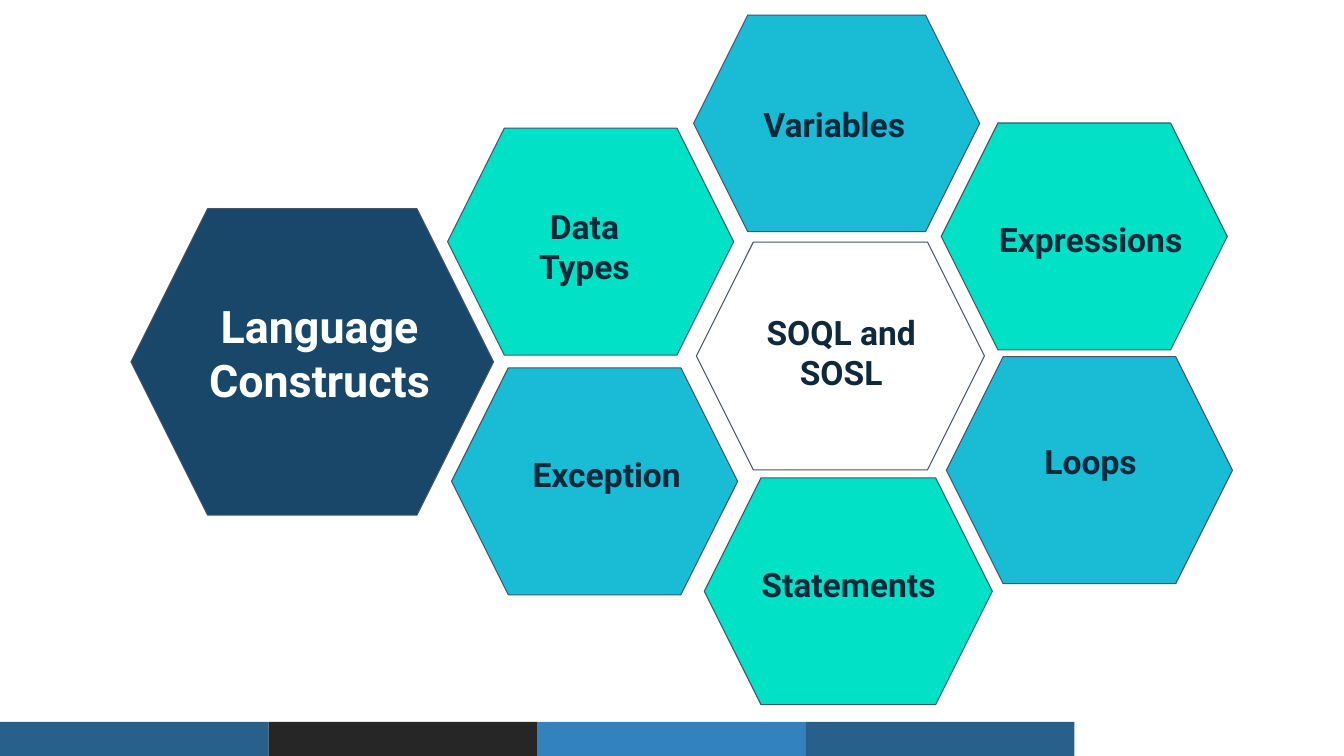
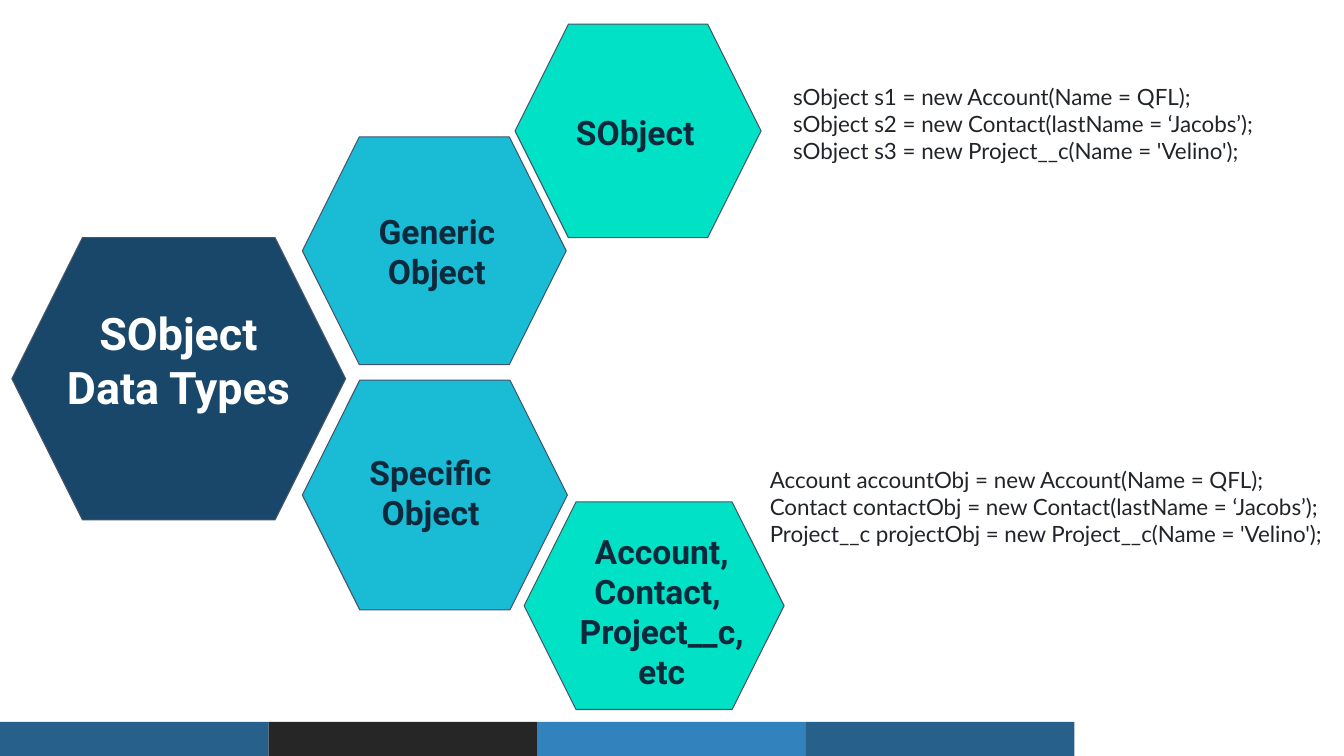
from dataclasses import dataclass

import pptx
import pptx.dml.color
import pptx.enum.shapes
import pptx.enum.text
import pptx.util

Cm = pptx.util.Cm
Kind = pptx.enum.shapes.MSO_SHAPE
Anchor = pptx.enum.text.MSO_ANCHOR
Align = pptx.enum.text.PP_ALIGN
Fit = pptx.enum.text.MSO_AUTO_SIZE
Box = tuple[float, float, float, float]  # left, top, width, height in cm

# Shared look
NAVY, BLUE, TEAL, WHITE = "184769", "19BBD5", "00E1C6", "FFFFFF"
INK, EDGE, BODY = "0E293C", "44546A", "212529"
BANDS = ("28608C", "262626", "3282BE", "28608C")
WIDE, HIGH = 33.87, 19.05
BAND_W, BAND_H = 6.77, 0.86


@dataclass
class Cell:
    """A hexagon and the label that lies on it."""
    text: str
    fill: str
    box: Box
    label: Box
    head: bool = False


@dataclass
class Code:
    """Lines of code beside a hexagon."""
    lines: tuple[str, ...]
    box: Box


WHEEL = (
    Cell("Variables", BLUE, (17.48, 0.38, 7.21, 5.46), (18.75, 2.08, 4.55, 1.88)),
    Cell("Expressions", TEAL, (23.72, 3.1, 7.21, 5.72), (24.69, 4.11, 5.59, 2.74)),
    Cell("Loops", BLUE, (23.85, 8.99, 7.21, 5.72), (24.69, 10.8, 5.59, 1.65)),
    Cell("Statements", TEAL, (17.75, 12.04, 7.26, 5.72), (18.77, 13.34, 5.23, 2.21)),
    Cell("Exception", BLUE, (11.38, 9.27, 7.21, 5.72), (12.98, 10.57, 4.62, 2.21)),
    Cell("Data Types", TEAL, (11.28, 3.23, 7.21, 5.72), (12.95, 4.32, 3.56, 3.23)),
    Cell("SOQL and SOSL", WHITE, (17.55, 6.1, 7.26, 5.74), (18.75, 7.16, 4.9, 3.05)),
    Cell("Language Constructs", NAVY, (3.3, 5.26, 9.14, 7.72),
         (4.65, 6.05, 6.81, 4.52), head=True),
)
TREE = (
    Cell("SObject", TEAL, (12.98, 0.61, 6.2, 5.38), (12.85, 2.79, 6.32, 1.37)),
    Cell("Specific Object", BLUE, (7.62, 9.58, 6.68, 5.79), (8.08, 11.33, 5.54, 2.41)),
    Cell("Generic Object", BLUE, (7.62, 3.45, 6.65, 5.74), (8.84, 4.98, 4.34, 2.69)),
    Cell("SObject Data Types", NAVY, (0.3, 5.99, 8.41, 7.11),
         (1.02, 5.77, 6.96, 4.98), head=True),
    Cell("Account, Contact, \nProject__c, etc", TEAL, (13.21, 12.65, 6.55, 5.23),
         (13.97, 12.78, 5.41, 4.98)),
)
CODES = (
    Code(("sObject s1 = new Account(Name = QFL);",
          "sObject s2 = new Contact(lastName = ‘Jacobs’);",
          "sObject s3 = new Project__c(Name = 'Velino');"),
         (19.74, 1.98, 12.4, 2.31)),
    Code(("Account accountObj = new Account(Name = QFL);",
          "Contact contactObj = new Contact(lastName = ‘Jacobs’);",
          "Project__c projectObj = new Project__c(Name = 'Velino');"),
         (19.15, 11.63, 15.11, 2.31)),
)


def tint(code: str) -> pptx.dml.color.RGBColor:
    return pptx.dml.color.RGBColor.from_string(code)


def place(box: Box) -> list[pptx.util.Length]:
    return [Cm(n) for n in box]


def write(shape, text: str, *, size: float, color: str, font: str = "Roboto",
          bold: bool = True, align=Align.CENTER, anchor=Anchor.BOTTOM,
          inset: float | None = 0.33) -> None:
    """Fill a shape with text; each line becomes a paragraph."""
    frame = shape.text_frame
    frame.text = text
    frame.word_wrap = True
    frame.auto_size = Fit.NONE
    frame.vertical_anchor = anchor
    if inset is not None:
        frame.margin_left = frame.margin_right = Cm(inset)
        frame.margin_top = frame.margin_bottom = Cm(inset)
    for para in frame.paragraphs:
        para.alignment = align
        for run in para.runs:
            run.font.name = font
            run.font.size = pptx.util.Pt(size)
            run.font.bold = bold
            run.font.color.rgb = tint(color)


def draw(slide, kind, box: Box, fill: str, edge: str | None = None):
    """Add a flat preset shape."""
    shape = slide.shapes.add_shape(kind, *place(box))
    shape.shadow.inherit = False
    shape.fill.solid()
    shape.fill.fore_color.rgb = tint(fill)
    if edge:
        shape.line.color.rgb = tint(edge)
        shape.line.width = pptx.util.Pt(0.75)
    else:
        shape.line.fill.background()
    return shape


def add_cell(slide, cell: Cell) -> None:
    draw(slide, Kind.HEXAGON, cell.box, cell.fill, EDGE)
    if cell.head:
        # The title goes in front of its hexagon
        label = slide.shapes.title
        label.left, label.top, label.width, label.height = place(cell.label)
        slide.shapes.element.append(label.element)
        write(label, cell.text, size=32, color=WHITE)
    else:
        label = slide.shapes.add_textbox(*place(cell.label))
        write(label, cell.text, size=24, color=INK)


def add_code(slide, code: Code) -> None:
    area = slide.shapes.add_textbox(*place(code.box))
    write(area, "\n".join(code.lines), size=16, color=BODY, font="Lato",
          bold=False, align=Align.LEFT, anchor=Anchor.TOP, inset=None)


def add_bands(slide, layout) -> None:
    """Draw the bottom bands and hand them to the layout."""
    for i, fill in enumerate(BANDS):
        box = (i * BAND_W, HIGH - BAND_H, BAND_W, BAND_H)
        band = draw(slide, Kind.RECTANGLE, box, fill).element
        band.nvSpPr.cNvPr.id = 100 + i
        layout.shapes.element.append(band)


def main() -> None:
    deck = pptx.Presentation()
    deck.slide_width, deck.slide_height = Cm(WIDE), Cm(HIGH)
    layout = deck.slide_layouts[5]

    # Language constructs, then object types
    for cells, codes in ((WHEEL, ()), (TREE, CODES)):
        slide = deck.slides.add_slide(layout)
        if len(deck.slides) == 1:
            add_bands(slide, layout)
        for cell in cells:
            add_cell(slide, cell)
        for code in codes:
            add_code(slide, code)

    deck.save("out.pptx")


if __name__ == "__main__":
    main()
